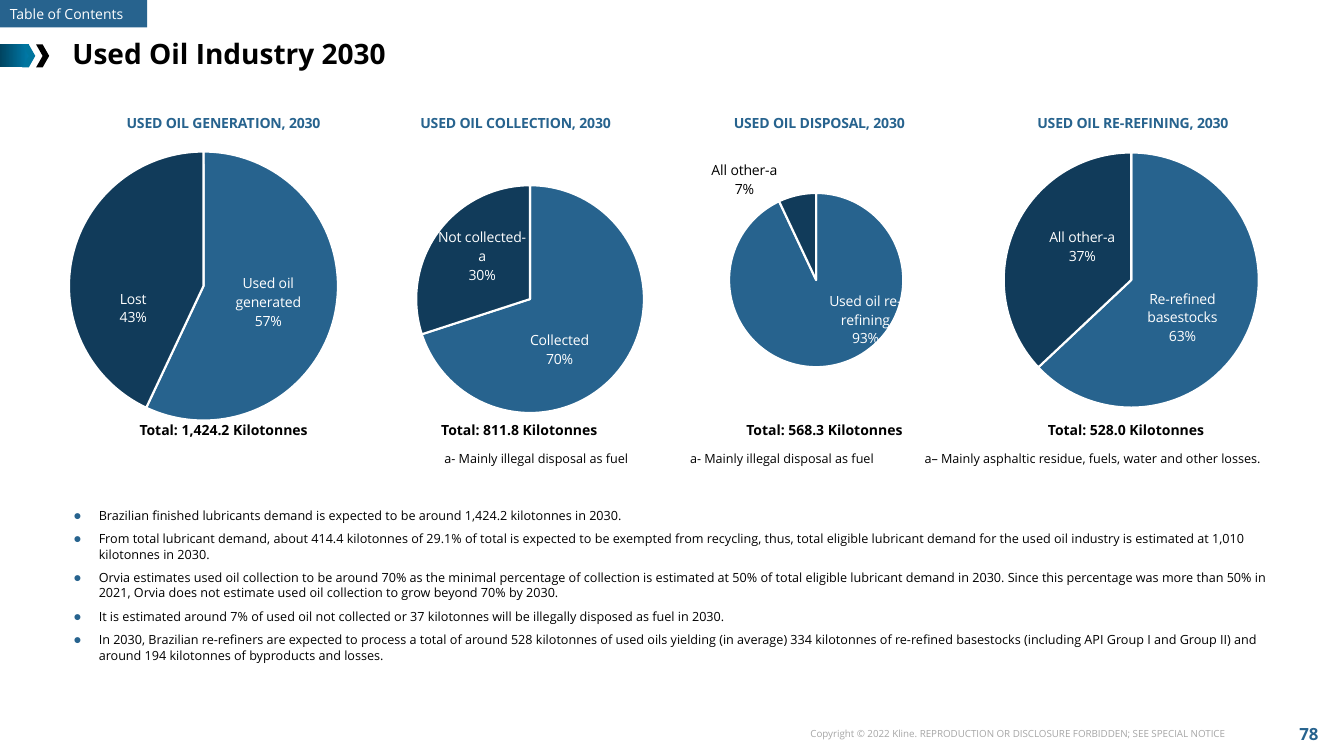
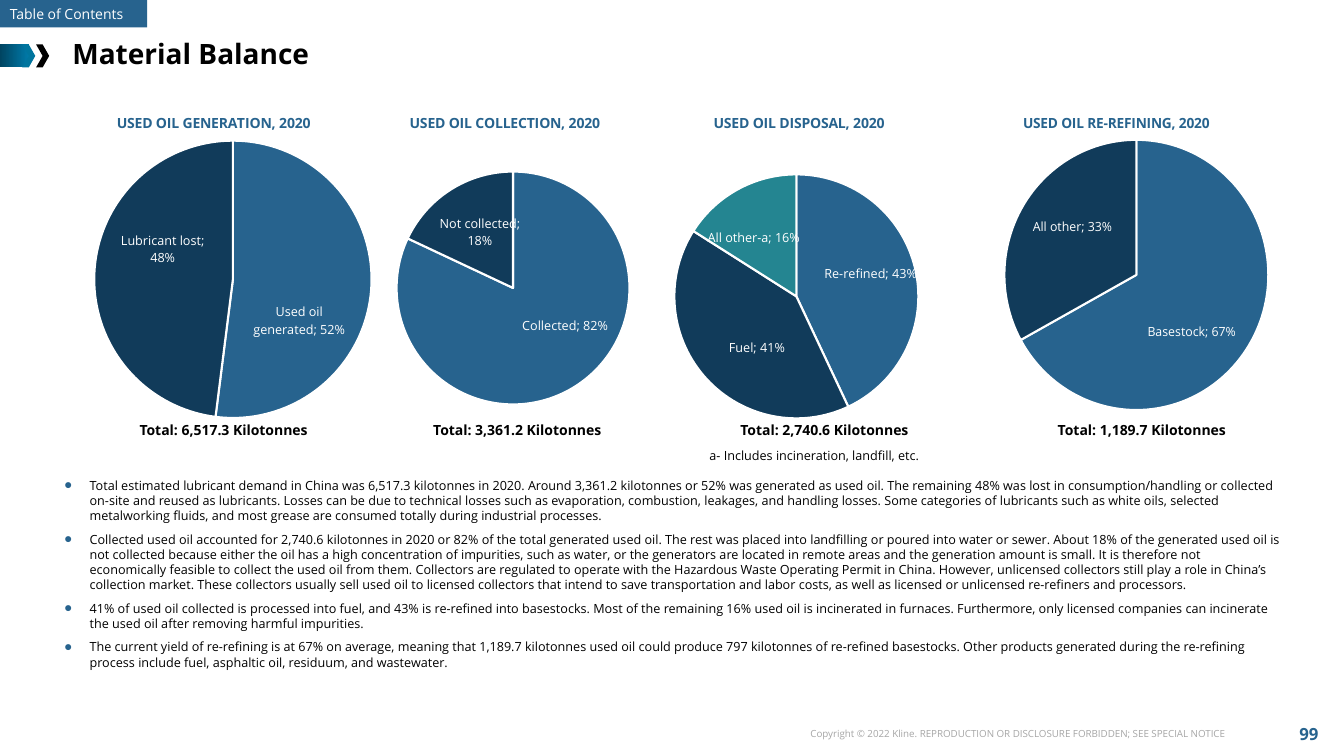
from pptx import Presentation
from pptx.chart.data import CategoryChartData as Data
from pptx.dml.color import RGBColor as Rgb
from pptx.enum.chart import XL_CHART_TYPE as Kind
from pptx.enum.shapes import MSO_SHAPE as Form
from pptx.enum.text import MSO_ANCHOR as Anchor, PP_ALIGN as Align
from pptx.oxml import parse_xml as make
from pptx.oxml.ns import nsdecls, qn
from pptx.util import Cm, Pt

INK = {"blue": "27638E", "navy": "113B5A", "teal": "248591", "black": "000000",
       "white": "FFFFFF", "grey": "A6A6A6", "deep": "004461", "sky": "007BAA",
       "tip": "00759E"}
FACE = "Open Sans"
STYLE = {
    "title": {"size": Pt(20), "bold": True, "color": "black"},
    "head": {"size": Pt(10), "bold": True, "color": "blue"},
    "total": {"size": Pt(10), "bold": True, "color": "black"},
    "body": {"size": Pt(9), "bold": False, "color": "black"},
    "tag": {"size": Pt(10), "bold": False, "color": "white"},
    "foot": {"size": Pt(7), "bold": False, "color": "grey"},
    "page": {"size": Pt(12), "bold": True, "color": "blue"},
}
SLICES = ("blue", "navy", "teal")
LEFTS = (0, 7, 14.65, 21.85)
TOP, WIDE, HIGH = 2.5, 12, 8.3
FOOT = "Copyright © 2022 Kline. REPRODUCTION OR DISCLOSURE FORBIDDEN; SEE SPECIAL NOTICE"

PAGES = [
    {"title": "Used Oil Industry 2030", "page": "78", "year": "2030",
     "label": {"size": 1000, "value": 0, "share": 1, "gap": "\n"},
     "list": (1.6, 12.67, 30.68, 4.2),
     "pies": [
         {"head": ("GENERATION", 3.13), "pie": (5.13, 4.71, 6.78),
          "parts": [("Used oil generated", 57, -2.64, -1.08), ("Lost", 43, 2.02, 1.81)],
          "total": ("1,424.2", 1.24)},
         {"head": ("COLLECTION", 3.53), "pie": (6.36, 5.04, 5.74),
          "parts": [("Collected", 70, -2.44, -0.98), ("Not collected-a", 30, 2.34, 1.41)],
          "total": ("811.8", 1.69),
          "note": ("a- Mainly illegal disposal as fuel", 3.95, 8.75)},
         {"head": ("DISPOSAL", 3.78), "pie": (5.92, 4.56, 4.39),
          "parts": [("Used oil re-refining", 93, -0.18, -2),
                    ("All other-a", 7, -0.47, 0.24, "black")],
          "total": ("568.3", 1.73),
          "note": ("a- Mainly illegal disposal as fuel", 2.49, 8.75)},
         {"head": ("RE-REFINING", 4.23), "pie": (6.66, 4.56, 6.43),
          "parts": [("Re-refined basestocks", 63, -2.68, -1.1),
                    ("All other-a", 37, 2.68, 0.98)],
          "total": ("528.0", 2.13),
          "note": ("a– Mainly asphaltic residue, fuels, water and other losses.", 1.2, 8.75)},
     ],
     "lines": [
         "Brazilian finished lubricants demand is expected to be around 1,424.2 kilotonnes in 2030.",
         "From total lubricant demand, about 414.4 kilotonnes of 29.1% of total is expected to be exempted from recycling, thus, total eligible lubricant demand for the used oil industry is estimated at 1,010 kilotonnes in 2030.",
         "Orvia estimates used oil collection to be around 70% as the minimal percentage of collection is estimated at 50% of total eligible lubricant demand in 2030. Since this percentage was more than 50% in 2021, Orvia does not estimate used oil collection to grow beyond 70% by 2030.",
         "It is estimated around 7% of used oil not collected or 37 kilotonnes will be illegally disposed as fuel in 2030.",
         "In 2030, Brazilian re-refiners are expected to process a total of around 528 kilotonnes of used oils yielding (in average) 334 kilotonnes of re-refined basestocks (including API Group I and Group II) and around 194 kilotonnes of byproducts and losses.",
     ]},
    {"title": "Material Balance", "page": "99", "year": "2020",
     "label": {"size": 900, "value": 1, "share": 0, "gap": "; "},
     "list": (1.37, 11.91, 31.12, 5.5),
     "pies": [
         {"head": ("GENERATION", 2.88), "pie": (5.87, 4.54, 6.99),
          "parts": [("Used oil generated", 0.52, -3.12, 0.81),
                    ("Lubricant lost", 0.48, 2.92, -0.53)],
          "total": ("6,517.3", 1.24)},
         {"head": ("COLLECTION", 3.26), "pie": (5.93, 4.76, 5.87),
          "parts": [("Collected", 0.82, -1.42, -1.89), ("Not collected", 0.18, 1.83, 1.65)],
          "total": ("3,361.2", 1.64)},
         {"head": ("DISPOSAL", 3.27), "pie": (5.42, 4.97, 6.15),
          "parts": [("Re-refined", 0.43, -2.44, 0.37), ("Fuel", 0.41, 2.13, -1.06),
                    ("All other-a", 0.16, 1.64, 1.57)],
          "total": ("2,740.6", 1.73),
          "note": ("a- Includes incineration, landfill, etc.", 2.98, 8.67)},
         {"head": ("RE-REFINING", 3.96), "pie": (6.95, 4.43, 6.81),
          "parts": [("Basestock", 0.67, -2.77, -0.6), ("All other", 0.33, 2.43, 0.83)],
          "total": ("1,189.7", 2.53)},
     ],
     "lines": [
         "Total estimated lubricant demand in China was 6,517.3 kilotonnes in 2020. Around 3,361.2 kilotonnes or 52% was generated as used oil. The remaining 48% was lost in consumption/handling or collected on-site and reused as lubricants. Losses can be due to technical losses such as evaporation, combustion, leakages, and handling losses. Some categories of lubricants such as white oils, selected metalworking fluids, and most grease are consumed totally during industrial processes.",
         "Collected used oil accounted for 2,740.6 kilotonnes in 2020 or 82% of the total generated used oil. The rest was placed into landfilling or poured into water or sewer. About 18% of the generated used oil is not collected because either the oil has a high concentration of impurities, such as water, or the generators are located in remote areas and the generation amount is small. It is therefore not economically feasible to collect the used oil from them. Collectors are regulated to operate with the Hazardous Waste Operating Permit in China. However, unlicensed collectors still play a role in China’s collection market. These collectors usually sell used oil to licensed collectors that intend to save transportation and labor costs, as well as licensed or unlicensed re-refiners and processors.",
         "41% of used oil collected is processed into fuel, and 43% is re-refined into basestocks. Most of the remaining 16% used oil is incinerated in furnaces. Furthermore, only licensed companies can incinerate the used oil after removing harmful impurities.",
         "The current yield of re-refining is at 67% on average, meaning that 1,189.7 kilotonnes used oil could produce 797 kilotonnes of re-refined basestocks. Other products generated during the re-refining process include fuel, asphaltic oil, residuum, and wastewater.",
     ]},
]


def tint(name):
    return Rgb.from_string(INK[name])


def style(font, name):
    font.name = FACE
    for key, value in STYLE[name].items():
        if key == "color":
            font.color.rgb = tint(value)
        else:
            setattr(font, key, value)


def write(frame, text, name, align=Align.LEFT, **form):
    for key, value in {"word_wrap": True, **form}.items():
        setattr(frame, key, value)
    para = frame.paragraphs[0]
    para.text, para.alignment = text, align
    style(para.font, name)


def label(slide, box, text, name, align=Align.LEFT, **form):
    area = slide.shapes.add_textbox(*map(Cm, box))
    write(area.text_frame, text, name, align, **form)


def block(slide, form, box, color):
    shape = slide.shapes.add_shape(form, *map(Cm, box))
    shape.shadow.inherit = False
    shape.line.fill.background()
    shape.fill.solid()
    shape.fill.fore_color.rgb = tint(color)
    return shape


def frame(slide, item):
    tag = block(slide, Form.RECTANGLE, (0, 0, 3.71, 0.69), "blue")
    write(tag.text_frame, "Table of Contents", "tag", vertical_anchor=Anchor.MIDDLE)
    bar = block(slide, Form.RECTANGLE, (0, 1.12, 0.74, 0.58), "deep")
    bar.fill.gradient()
    bar.fill.gradient_angle = 0
    for stop, name in zip(bar.fill.gradient_stops, ("deep", "sky")):
        stop.color.rgb = tint(name)
    for left, color in ((0.56, "tip"), (0.91, "black")):
        block(slide, Form.CHEVRON, (left, 1.12, 0.33, 0.58), color)
    title = slide.shapes.title
    for key, value in zip(("left", "top", "width", "height"), (1.57, 0.79, 30.48, 1.12)):
        setattr(title, key, Cm(value))
    write(title.text_frame, item["title"], "title", vertical_anchor=Anchor.MIDDLE)
    label(slide, (19.3, 18.21, 11.82, 0.56), FOOT, "foot", Align.RIGHT)
    label(slide, (32.2, 17.94, 1.57, 1.09), item["page"], "page", Align.CENTER,
          vertical_anchor=Anchor.MIDDLE)


def place(node, spot, index=0, inner=False):
    for old in node.findall(qn("c:layout")):
        node.remove(old)
    modes = '<c:xMode val="edge"/><c:yMode val="edge"/>'
    if inner:
        modes = '<c:layoutTarget val="inner"/>' + modes
    sizes = zip("xywh", spot, (WIDE, HIGH, WIDE, HIGH))
    values = "".join(f'<c:{key} val="{part / full:.4f}"/>' for key, part, full in sizes)
    node.insert(index, make(f'<c:layout {nsdecls("c")}><c:manualLayout>{modes}{values}'
                            '</c:manualLayout></c:layout>'))


def mark(index, look, right, down, color="white"):
    return make(
        f'<c:dLbl {nsdecls("c", "a")}><c:idx val="{index}"/><c:layout><c:manualLayout>'
        f'<c:x val="{right / WIDE:.4f}"/><c:y val="{down / HIGH:.4f}"/>'
        '</c:manualLayout></c:layout><c:numFmt formatCode="0%" sourceLinked="0"/>'
        '<c:spPr><a:noFill/><a:ln><a:noFill/></a:ln></c:spPr>'
        f'<c:txPr><a:bodyPr/><a:p><a:pPr><a:defRPr sz="{look["size"]}" b="0"><a:solidFill>'
        f'<a:srgbClr val="{INK[color]}"/></a:solidFill><a:latin typeface="{FACE}"/>'
        '</a:defRPr></a:pPr><a:endParaRPr/></a:p></c:txPr><c:dLblPos val="bestFit"/>'
        f'<c:showLegendKey val="0"/><c:showVal val="{look["value"]}"/>'
        '<c:showCatName val="1"/><c:showSerName val="0"/>'
        f'<c:showPercent val="{look["share"]}"/><c:showBubbleSize val="0"/>'
        f'<c:separator>{look["gap"]}</c:separator></c:dLbl>')


def pie(slide, box, item, look, year):
    names, values = zip(*(part[:2] for part in item["parts"]))
    data = Data(number_format="0%" if look["value"] else "0")
    data.categories = names
    data.add_series("Series 1", values)
    chart = slide.shapes.add_chart(Kind.PIE, *map(Cm, box), data).chart
    chart.has_legend = False
    style(chart.font, "body")
    head, left = item["head"]
    write(chart.chart_title.text_frame, f"USED OIL {head}, {year}", "head", Align.CENTER)
    place(chart.chart_title._element, (left, 0.27), 1)
    plot = chart.plots[0]
    plot.vary_by_categories = True
    mid, down, size = item["pie"]
    place(plot._element.getparent(), (mid - size / 2, down - size / 2, size, size), inner=True)
    series = plot.series[0]
    marks = series.data_labels._element
    for old in marks.findall(qn("c:showLeaderLines")):
        marks.remove(old)
    marks.append(make(f'<c:showLeaderLines {nsdecls("c")} val="0"/>'))
    for index, part in enumerate(item["parts"]):
        slice_look = series.points[index].format
        slice_look.fill.solid()
        slice_look.fill.fore_color.rgb = tint(SLICES[index])
        slice_look.line.color.rgb = tint("white")
        slice_look.line.width = Pt(1.5)
        marks.insert(index, mark(index, look, *part[2:]))


def column(slide, box, item, look, year):
    pie(slide, box, item, look, year)
    left, top = box[:2]
    total, shift = item["total"]
    label(slide, (left + shift, top + 8, 8.79, 0.69), f"Total: {total} Kilotonnes",
          "total", Align.CENTER)
    if "note" in item:
        text, shift, down = item["note"]
        label(slide, (left + shift, top + down, 10.8, 0.64), text, "body")


def bullets(slide, box, lines):
    area = slide.shapes.add_textbox(*map(Cm, box)).text_frame
    area.word_wrap = True
    for index, line in enumerate(lines):
        para = area.add_paragraph() if index else area.paragraphs[0]
        para.text = line
        props = para._p.get_or_add_pPr()
        props.set("marL", str(Cm(0.64)))
        props.set("indent", str(-Cm(0.64)))
        for bit in (f'buClr {nsdecls("a")}><a:srgbClr val="{INK["blue"]}"/></a:buClr>',
                    f'buSzPct {nsdecls("a")} val="110000"/>',
                    f'buFont {nsdecls("a")} typeface="Arial"/>',
                    f'buChar {nsdecls("a")} char="●"/>'):
            props.append(make("<a:" + bit))
        para.space_after = Pt(6)
        style(para.font, "body")


def main():
    """Build the used oil slides and save them."""
    deck = Presentation()
    deck.slide_width, deck.slide_height = Cm(33.87), Cm(19.05)
    for item in PAGES:
        slide = deck.slides.add_slide(deck.slide_layouts[5])
        frame(slide, item)
        for left, part in zip(LEFTS, item["pies"]):
            column(slide, (left, TOP, WIDE, HIGH), part, item["label"], item["year"])
        bullets(slide, item["list"], item["lines"])
    deck.save("out.pptx")


if __name__ == "__main__":
    main()
